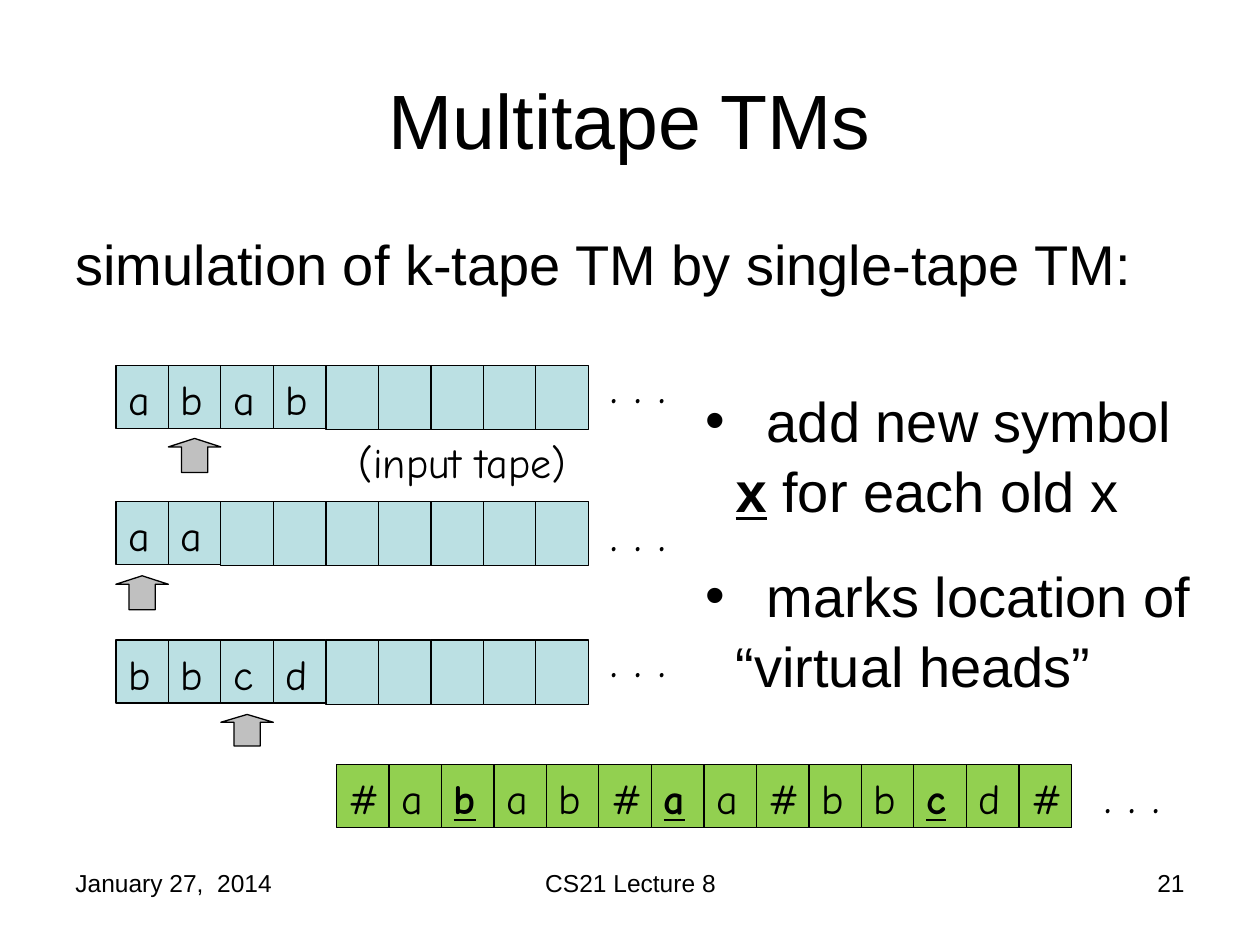
import lxml.etree
import pptx
import pptx.dml.color
import pptx.enum.shapes
import pptx.enum.text
import pptx.oxml.ns
import pptx.util

Inches = pptx.util.Inches
Align = pptx.enum.text.PP_ALIGN
Anchor = pptx.enum.text.MSO_ANCHOR
Shape = pptx.enum.shapes.MSO_SHAPE
qn = pptx.oxml.ns.qn


class TapeSlide:
    """Draws text, tapes and head markers on one page in a shared style."""

    colors = {"ink": "000000", "tape": "BBE0E3", "head": "C0C0C0", "single": "92D050"}
    plain = "Arial"
    hand = "Comic Neue"
    cell = 5 / 12
    line_spacing = 1.04

    def __init__(self, page):
        self.page = page

    def color(self, name):
        return pptx.dml.color.RGBColor.from_string(self.colors[name])

    def span(self, para, text, size, font, marked=False):
        span = para.add_run()
        span.text = text
        span.font.size = pptx.util.Pt(size)
        span.font.name = font
        span.font.color.rgb = self.color("ink")
        if marked:
            span.font.bold = True
            span.font.underline = True
        return span

    def frame(self, box, anchor=Anchor.TOP):
        frame = box.text_frame
        frame.word_wrap = True
        frame.vertical_anchor = anchor
        return frame

    def text(self, left, top, width, height, text, size, font=plain,
             align=Align.LEFT, anchor=Anchor.TOP):
        box = self.page.shapes.add_textbox(
            Inches(left), Inches(top), Inches(width), Inches(height))
        para = self.frame(box, anchor).paragraphs[0]
        para.alignment = align
        para.line_spacing = self.line_spacing
        self.span(para, text, size, font)

    def shape(self, kind, left, top, height, fill):
        shape = self.page.shapes.add_shape(
            kind, Inches(left), Inches(top), Inches(self.cell), Inches(height))
        shape.shadow.inherit = False
        shape.fill.solid()
        shape.fill.fore_color.rgb = self.color(fill)
        shape.line.color.rgb = self.color("ink")
        shape.line.width = pptx.util.Pt(0.75)
        return shape

    def tape(self, left, top, symbols, length, fill, marks=()):
        for index in range(length):
            filled = index < len(symbols)
            box = self.shape(Shape.RECTANGLE, left + index * self.cell, top,
                             0.5 if filled else 0.51, fill)
            if filled:
                para = self.frame(box).paragraphs[0]
                para.alignment = Align.LEFT
                para.line_spacing = self.line_spacing
                self.span(para, symbols[index], 24, self.hand, index in marks)

    def head(self, left, top, height):
        arrow = self.shape(Shape.UP_ARROW, left, top, height, "head")
        arrow.adjustments[0] = 0.5
        arrow.adjustments[1] = 0.25

    def dots(self, left, top, width=1.58):
        self.text(left, top, width, 0.57, ". . .", 28, self.hand)

    def bullets(self, left, top, width, height, items):
        box = self.page.shapes.add_textbox(
            Inches(left), Inches(top), Inches(width), Inches(height))
        frame = self.frame(box)
        for index, spans in enumerate(items):
            para = frame.add_paragraph() if index else frame.paragraphs[0]
            self.bullet(para)
            para.line_spacing = self.line_spacing
            if index:
                para.space_before = pptx.util.Pt(20)
            gap = self.span(para, " ", 32, self.plain)
            gap.font._element.set("spc", "890")
            for text, marked in spans:
                self.span(para, text, 32, self.plain, marked)

    def bullet(self, para):
        props = para._p.get_or_add_pPr()
        props.set("marL", str(Inches(0.24)))
        props.set("indent", str(Inches(-0.24)))
        tint = lxml.etree.SubElement(props, qn("a:buClr"))
        lxml.etree.SubElement(tint, qn("a:srgbClr"), val=self.colors["ink"])
        lxml.etree.SubElement(props, qn("a:buFont"), typeface=self.plain)
        lxml.etree.SubElement(props, qn("a:buChar"), char="•")


def main():
    deck = pptx.Presentation()
    deck.slide_width = Inches(10)
    deck.slide_height = Inches(7.5)
    slide = TapeSlide(deck.slides.add_slide(deck.slide_layouts[6]))

    for left, width, text, align in [
        (0.5, 2.33, "January 27,  2014", Align.LEFT),
        (3.42, 3.17, "CS21 Lecture 8", Align.CENTER),
        (7.17, 2.33, "21", Align.RIGHT),
    ]:
        slide.text(left, 6.83, width, 0.52, text, 14, align=align)

    slide.text(0.5, 0.3, 9, 1.25, "Multitape TMs", 44,
               align=Align.CENTER, anchor=Anchor.MIDDLE)
    slide.text(0.5, 1.75, 9, 0.75, "simulation of k-tape TM by single-tape TM:", 32)

    tape_left = 0.92
    for symbols, top, head_index, head_top, head_height, dots_top in [
        ("abab", 2.9, 1, 3.48, 0.27, 2.75),
        ("aa", 3.98, 0, 4.57, 0.27, 3.92),
        ("bbcd", 5.08, 2, 5.67, 0.25, 4.92),
    ]:
        slide.head(tape_left + head_index * slide.cell, head_top, head_height)
        slide.tape(tape_left, top, symbols, 9, "tape")
        slide.dots(4.75, dots_top)
    slide.text(2.75, 3.4, 2.58, 0.5, "(input tape)", 24, slide.hand)

    single = "#abab#aa#bbcd#"
    slide.tape(2.67, 6.07, single, len(single), "single", marks=(2, 6, 11))
    slide.dots(8.67, 6, 0.92)

    slide.bullets(5.5, 3, 4.08, 2.51, [
        [("add new symbol ", False), ("x", True), (" for each old x", False)],
        [("marks location of “virtual heads”", False)],
    ])
    deck.save("out.pptx")


if __name__ == "__main__":
    main()
